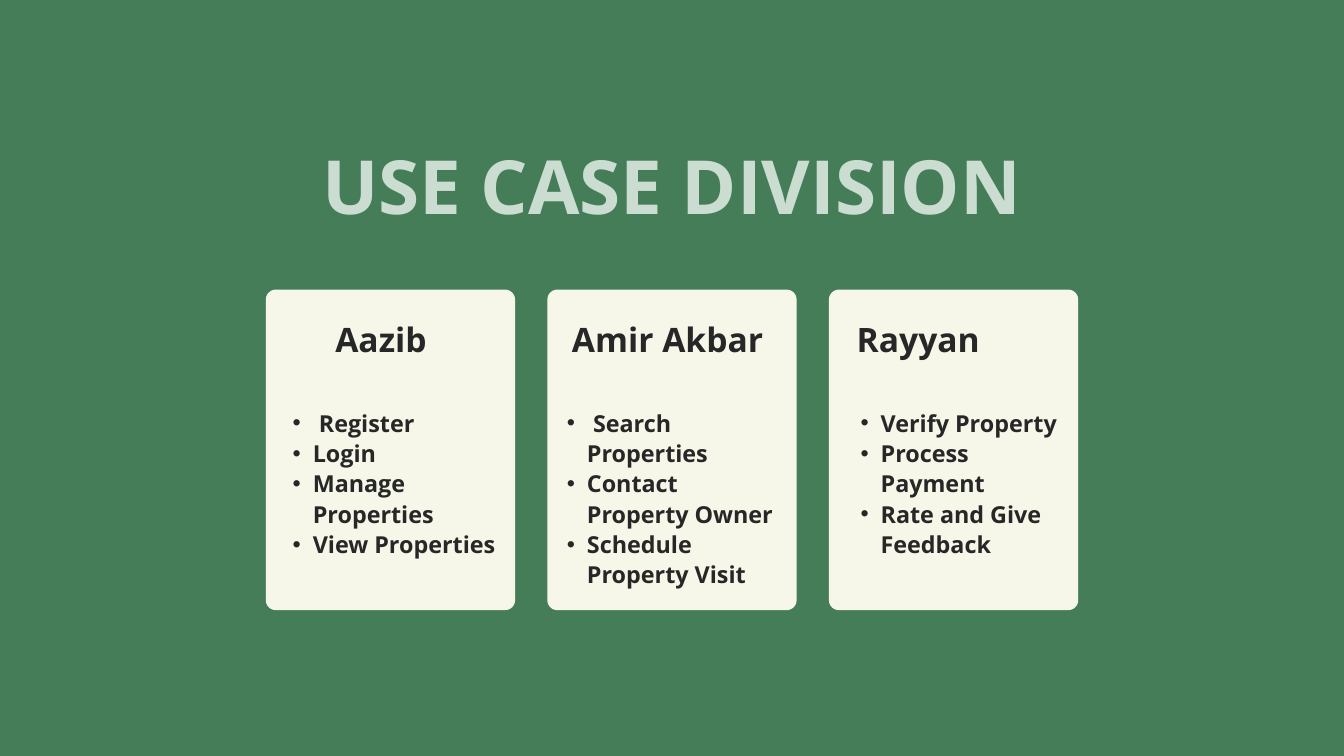
"""Build the use case division slide: a title above three cards of tasks."""
from dataclasses import dataclass

from lxml import etree
from pptx import Presentation
from pptx.dml.color import RGBColor
from pptx.enum import shapes, text
from pptx.oxml import ns
from pptx.util import Inches, Pt

WIDTH, HEIGHT = 20, 11.25
CARD_WIDTH, CARD_HEIGHT, CARD_GAP = 3.71, 4.77, 0.48
CARDS_LEFT = (WIDTH - 3 * CARD_WIDTH - 2 * CARD_GAP) / 2
CARD_TOP, NAME_TOP, TASKS_TOP = 4.31, 4.56, 6.05
GREEN, CREAM, MINT, INK = "457D58", "F6F6E9", "CBDDD1", "272727"


@dataclass(frozen=True)
class Style:
    """Format of every paragraph in a text box."""

    size: float
    leading: float
    color: str
    level: int = 1
    align: text.PP_ALIGN = text.PP_ALIGN.CENTER
    margin: float = 0
    indent: float = 0
    bullet: str = ""


@dataclass(frozen=True)
class Card:
    """A person and tasks, with box offsets measured from the card's left edge."""

    name: str
    name_offset: float
    name_width: float
    tasks: tuple[str, ...]
    tasks_offset: float
    tasks_width: float
    tasks_height: float


TITLE = Style(80, 96, MINT, level=0)
NAME = Style(36, 56.5, INK)
TASK = Style(25, 32.5, INK, align=text.PP_ALIGN.LEFT, margin=0.59, indent=-0.3, bullet="•")

CARDS = (
    Card("Aazib", 0.36, 2.71,
         (" Register", "Login", "Manage Properties", "View Properties"), 0.11, 3.42, 2.24),
    Card("Amir Akbar", 0.35, 2.88,
         (" Search Properties", "Contact Property Owner", "Schedule Property Visit"),
         0, 3.44, 2.68),
    Card("Rayyan ", 0.36, 2.07,
         ("Verify Property", "Process Payment", "Rate and Give Feedback"), 0.18, 3.42, 2.24),
)


def paint(fill, color: str) -> None:
    """Give a fill one solid colour."""
    fill.solid()
    fill.fore_color.rgb = RGBColor.from_string(color)


def add_text(slide, box: tuple[float, ...], lines: tuple[str, ...], style: Style) -> None:
    """Add a text box with one paragraph per line."""
    frame = slide.shapes.add_textbox(*map(Inches, box)).text_frame
    settings = {"word_wrap": True, "auto_size": text.MSO_AUTO_SIZE.SHAPE_TO_FIT_TEXT,
                "margin_left": 0, "margin_top": 0, "margin_right": 0, "margin_bottom": 0}
    for key, value in settings.items():
        setattr(frame, key, value)
    for index, line in enumerate(lines):
        paragraph = frame.add_paragraph() if index else frame.paragraphs[0]
        for key, value in {"level": style.level, "alignment": style.align,
                           "line_spacing": Pt(style.leading)}.items():
            setattr(paragraph, key, value)
        run = paragraph.add_run()
        run.text = line
        for key, value in {"name": "Open Sans", "size": Pt(style.size), "bold": True}.items():
            setattr(run.font, key, value)
        paint(run.font.fill, style.color)
        properties = paragraph._p.get_or_add_pPr()
        properties.set("marL", str(Inches(style.margin)))
        properties.set("indent", str(Inches(style.indent)))
        if style.bullet:
            etree.SubElement(properties, ns.qn("a:buFont")).set("typeface", "Arial")
            etree.SubElement(properties, ns.qn("a:buChar")).set("char", style.bullet)


def add_card(slide, card: Card, column: int) -> None:
    """Draw a card with its name and task list in the given column."""
    left = CARDS_LEFT + column * (CARD_WIDTH + CARD_GAP)
    shape = slide.shapes.add_shape(
        shapes.MSO_SHAPE.ROUNDED_RECTANGLE,
        *map(Inches, (left, CARD_TOP, CARD_WIDTH, CARD_HEIGHT)))
    shape.adjustments[0] = 0.04
    shape.shadow.inherit = False
    shape.line.fill.background()
    paint(shape.fill, CREAM)
    add_text(slide, (left + card.name_offset, NAME_TOP, card.name_width, 0.73),
             (card.name,), NAME)
    add_text(slide, (left + card.tasks_offset, TASKS_TOP, card.tasks_width, card.tasks_height),
             card.tasks, TASK)


def main() -> None:
    """Build and save the slide."""
    presentation = Presentation()
    presentation.slide_width, presentation.slide_height = Inches(WIDTH), Inches(HEIGHT)
    slide = presentation.slides.add_slide(presentation.slide_layouts[6])
    paint(slide.background.fill, GREEN)
    add_text(slide, (4.06, 2.08, 11.88, 1.33), ("USE CASE DIVISION",), TITLE)
    for column, card in enumerate(CARDS):
        add_card(slide, card, column)
    presentation.save("out.pptx")


if __name__ == "__main__":
    main()
